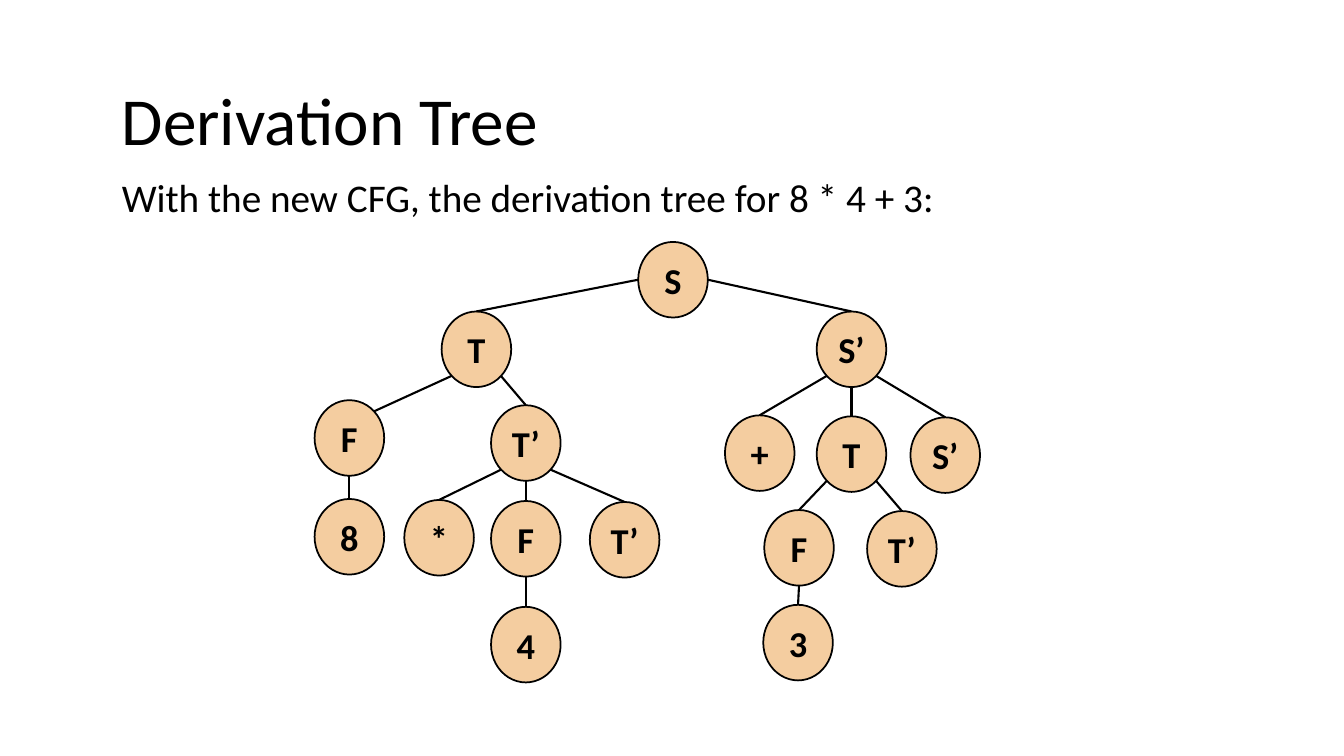
from lxml import etree
from pptx import Presentation
from pptx import util as u
from pptx.dml.color import RGBColor
from pptx.enum import shapes, text
from pptx.oxml import ns

NODE_WIDTH, NODE_HEIGHT = 0.69, 0.75

# Points on a node where branches attach, as shares of its width and height
SITES = {
    "top": (0.5, 0), "top right": (0.85, 0.15),
    "left": (0, 0.5), "right": (1, 0.5),
    "bottom left": (0.15, 0.85), "bottom": (0.5, 1), "bottom right": (0.85, 0.85),
}

# Node: label, left, top, parent, site on the parent, site on the node
TREE = {
    "sum": ("S", 6.33, 2.4, None, None, None),
    "term": ("T", 4.38, 3.09, "sum", "left", "top"),
    "sum rest": ("S’", 8.1, 3.09, "sum", "right", "top"),
    "plus": ("+", 7.19, 4.12, "sum rest", "bottom left", "top"),
    "added term": ("T", 8.1, 4.13, "sum rest", "bottom", "top"),
    "sum end": ("S’", 9.03, 4.14, "sum rest", "bottom right", "top"),
    "added factor": ("F", 7.58, 5.06, "added term", "bottom left", "top"),
    "added end": ("T’", 8.6, 5.07, "added term", "bottom right", "top"),
    "three": ("3", 7.57, 6, "added factor", "bottom", "top"),
    "factor": ("F", 3.12, 3.97, "term", "bottom left", "top right"),
    "term rest": ("T’", 4.87, 4.02, "term", "bottom right", "top"),
    "eight": ("8", 3.12, 4.95, "factor", "bottom", "top"),
    "times": ("*", 4.01, 4.96, "term rest", "bottom left", "top"),
    "second factor": ("F", 4.87, 4.97, "term rest", "bottom", "top"),
    "term end": ("T’", 5.85, 4.98, "term rest", "bottom right", "top"),
    "four": ("4", 4.87, 6.02, "second factor", "bottom", "top"),
}


def paint(color_format, color):
    color_format.rgb = RGBColor.from_string(color)


def write(frame, words, size, bold=False):
    span = frame.paragraphs[0].add_run()
    span.text = words
    span.font.name = "Calibri"
    span.font.size = u.Pt(size)
    span.font.bold = bold
    paint(span.font.color, "000000")


deck = Presentation()
deck.slide_width, deck.slide_height = u.Inches(13.33), u.Inches(7.5)
page = deck.slides.add_slide(deck.slide_layouts[6])

# Title and introduction
for words, size, top, width, height in (
    ("Derivation Tree", 48, 0.73, 11.09, 0.91),
    ("With the new CFG, the derivation tree for 8 * 4 + 3:", 28, 1.67, 8.46, 0.57),
):
    box = page.shapes.add_textbox(
        u.Inches(1.11), u.Inches(top), u.Inches(width), u.Inches(height))
    box.text_frame.word_wrap = True
    box.text_frame.auto_size = text.MSO_AUTO_SIZE.SHAPE_TO_FIT_TEXT
    write(box.text_frame, words, size)

# Branches, from each parent to its child
for label, left, top, parent, parent_site, own_site in TREE.values():
    if parent is None:
        continue
    ends = []
    for x, y, site in ((*TREE[parent][1:3], parent_site), (left, top, own_site)):
        across, down = SITES[site]
        ends += [u.Inches(x + across * NODE_WIDTH), u.Inches(y + down * NODE_HEIGHT)]
    branch = page.shapes.add_connector(shapes.MSO_CONNECTOR.STRAIGHT, *ends)
    branch.line.width = u.Pt(1.5)
    paint(branch.line.color, "000000")
    etree.SubElement(branch.element.spPr, ns.qn("a:effectLst"))

# Nodes
for label, left, top, *_ in TREE.values():
    node = page.shapes.add_shape(
        shapes.MSO_SHAPE.OVAL, u.Inches(left), u.Inches(top),
        u.Inches(NODE_WIDTH), u.Inches(NODE_HEIGHT))
    node.shadow.inherit = False
    node.fill.solid()
    paint(node.fill.fore_color, "E48312")
    fill_color = node.element.spPr.find(ns.qn("a:solidFill"))[0]
    etree.SubElement(fill_color, ns.qn("a:alpha"), val="40000")
    node.line.width = u.Pt(1.25)
    paint(node.line.color, "000000")
    frame = node.text_frame
    frame.word_wrap = False
    frame.vertical_anchor = text.MSO_ANCHOR.MIDDLE
    frame.paragraphs[0].alignment = text.PP_ALIGN.CENTER
    write(frame, label, 26, bold=True)

deck.save("out.pptx")
